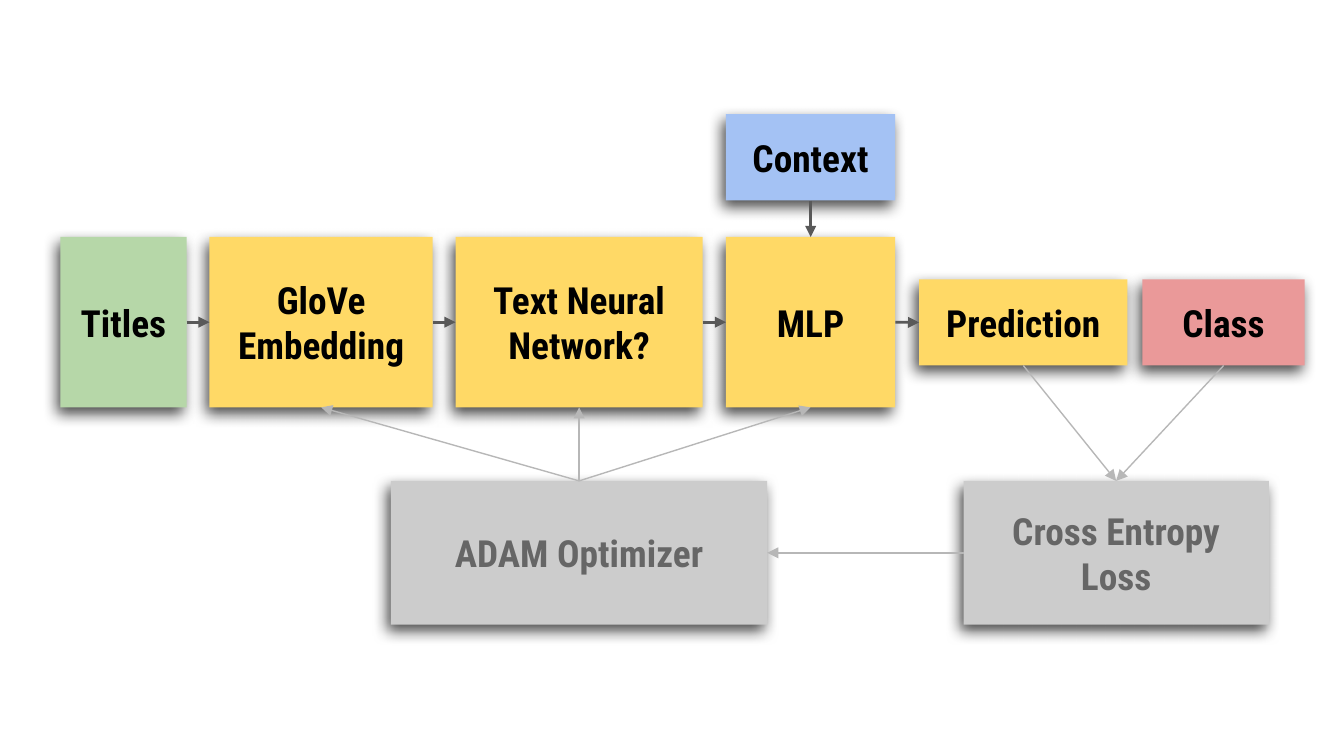
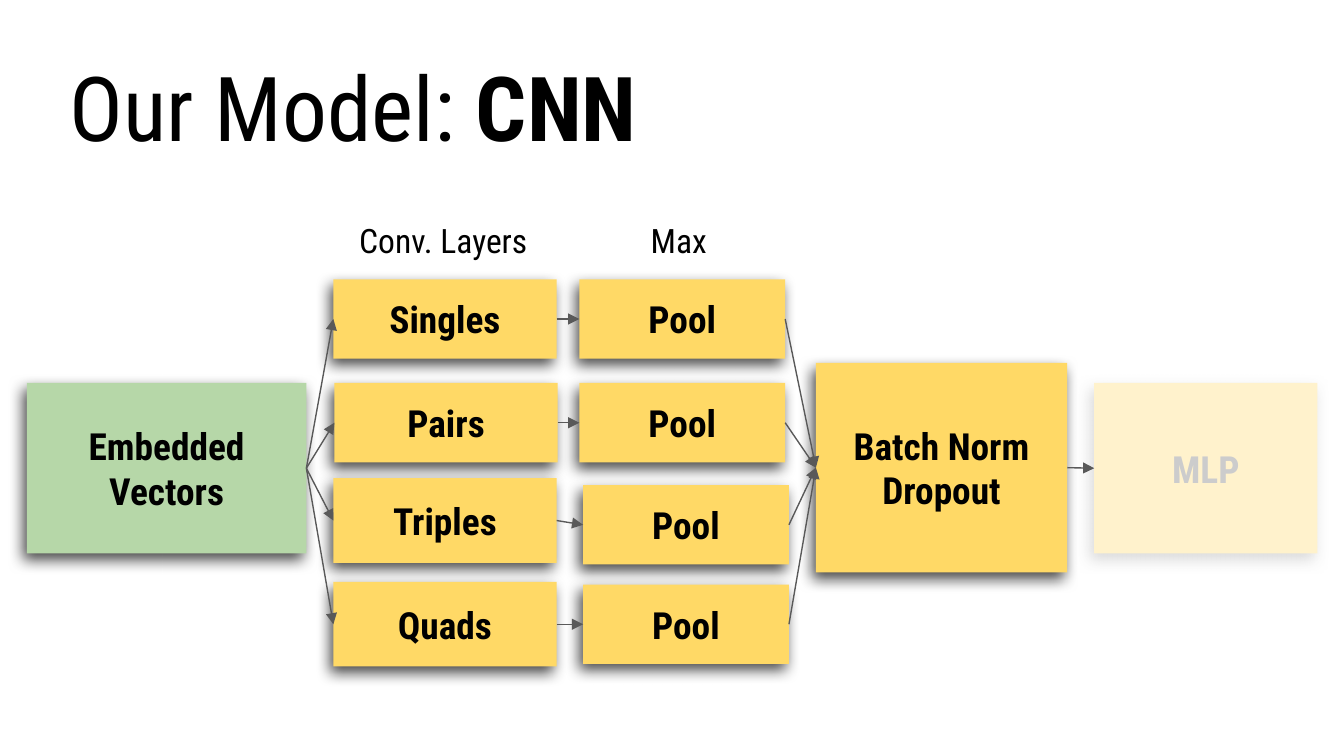
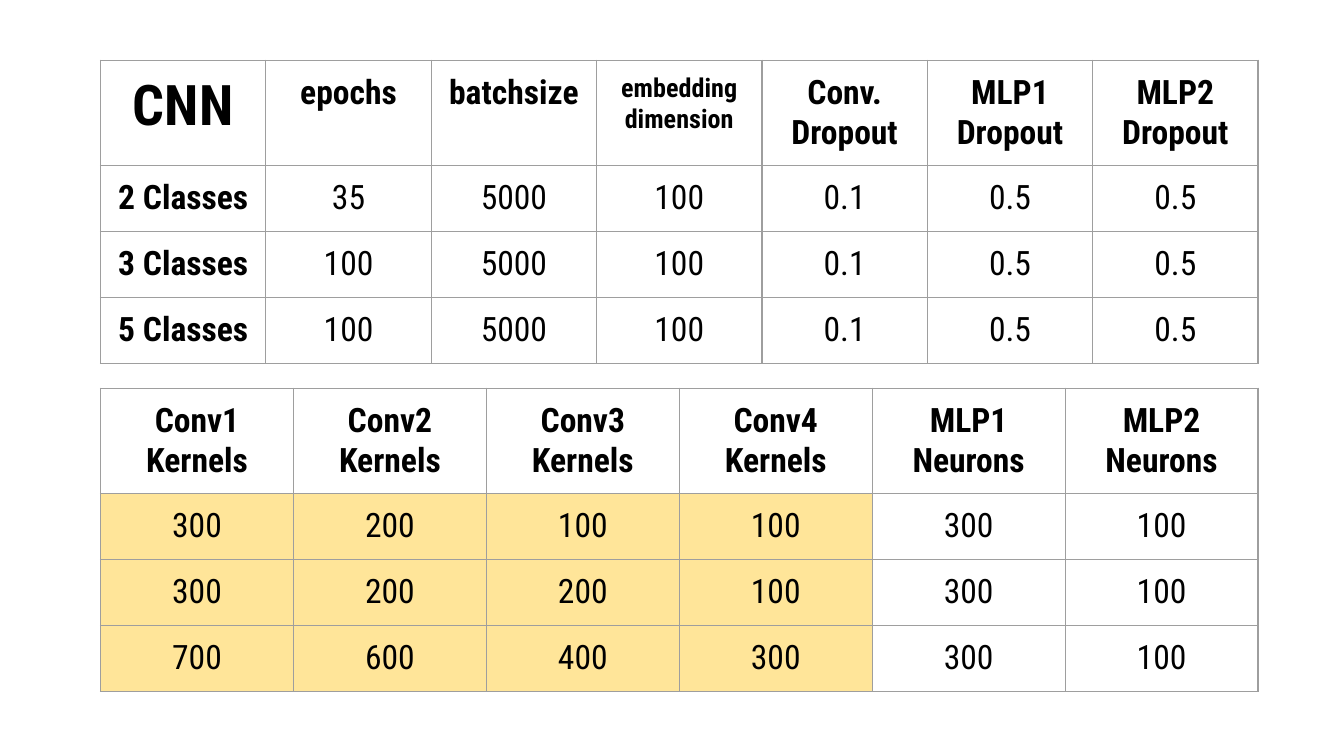
"""Build three slides on a CNN text model: pipeline, architecture and settings."""
from dataclasses import dataclass
from enum import IntEnum

from lxml import etree
from pptx import Presentation
from pptx import util as u
from pptx.dml import color
from pptx.enum import shapes, text
from pptx.oxml import ns

FONT = "Roboto Condensed"
BLACK, DARK, MID, SILVER, PALE = "000000", "595959", "666666", "B7B7B7", "CCCCCC"
YELLOW, GREEN, BLUE, RED = "FFD966", "B6D7A8", "A4C2F4", "EA9999"
CREAM, HIGHLIGHT, GRID = "FFF2CC", "FFE599", "9E9E9E"
INSET = u.Cm(0.25)
TABLE_LEFT, TABLE_WIDTH = 1.9, 21.88
ROW_HEIGHTS = (1.27, 1.24, 1.22, 1.22)


class Site(IntEnum):
    """Connection sites of a rectangle."""
    TOP = 0
    LEFT = 1
    BOTTOM = 2
    RIGHT = 3


@dataclass(frozen=True)
class Box:
    """A labelled rectangle, with lengths in centimetres."""
    label: str
    left: float
    top: float
    width: float
    height: float
    fill: str = YELLOW
    ink: str = BLACK
    shadow: str = BLACK


@dataclass(frozen=True)
class Label:
    """A plain text box whose runs are (text, bold) pairs."""
    runs: tuple
    left: float
    top: float
    width: float
    height: float
    size: int = 18
    align: text.PP_ALIGN = text.PP_ALIGN.CENTER


@dataclass(frozen=True)
class Grid:
    """A table with header labels, body rows and its special cells."""
    top: float
    header: tuple
    rows: tuple
    sizes: dict
    bold_columns: int = 0
    filled_columns: int = 0


PIPELINE = (
    Box("Text Neural Network?", 8.61, 4.48, 4.67, 3.22),
    Box("Titles", 1.14, 4.48, 2.39, 3.22, GREEN),
    Box("Context", 13.72, 2.16, 3.2, 1.63, BLUE),
    Box("Class", 21.59, 5.28, 3.07, 1.63, RED),
    Box("MLP", 13.72, 4.48, 3.2, 3.22),
    Box("Cross Entropy Loss", 18.21, 9.09, 5.77, 2.72, PALE, MID),
    Box("ADAM Optimizer", 7.39, 9.09, 7.11, 2.72, PALE, MID),
    Box("Prediction", 17.37, 5.28, 3.94, 1.63),
    Box("GloVe Embedding", 3.96, 4.48, 4.22, 3.22),
)
FORWARD = ("Titles", "GloVe Embedding", "Text Neural Network?", "MLP", "Prediction")

VECTORS = Box("Embedded\nVectors".replace("\n", " "), 0.51, 7.24, 5.28, 3.22, GREEN)
NORM = Box("Batch Norm\nDropout", 15.42, 6.86, 4.75, 3.96)
NEXT_MLP = Box("MLP", 20.68, 7.24, 4.22, 3.22, CREAM, PALE, PALE)
CONVS = (
    Box("Singles", 6.3, 5.28, 4.22, 1.5),
    Box("Pairs", 6.32, 7.24, 4.22, 1.5),
    Box("Triples", 6.3, 9.04, 4.22, 1.6),
    Box("Quads", 6.3, 11, 4.22, 1.6),
)
POOL_CORNERS = ((10.95, 5.28), (10.95, 7.24), (11.02, 9.17), (11.02, 11.05))
LABELS = (
    Label((("Our Model: ", False), ("CNN", True)), 1.07, 0.74, 14.58, 1.91,
          48, text.PP_ALIGN.LEFT),
    Label((("Conv. Layers", False),), 6.27, 3.91, 4.22, 0.94),
    Label((("Max", False),), 10.72, 3.91, 4.22, 0.94),
)

GRIDS = (
    Grid(1.14,
         ("CNN", "epochs", "batchsize", "embedding dimension", "Conv. Dropout",
          "MLP1 Dropout", "MLP2\nDropout"),
         (("2 Classes", "35", "5000", "100", "0.1", "0.5", "0.5"),
          ("3 Classes", "100", "5000", "100", "0.1", "0.5", "0.5"),
          ("5 Classes", "100", "5000", "100", "0.1", "0.5", "0.5")),
         {"CNN": 30, "embedding dimension": 14}, bold_columns=1),
    Grid(7.34,
         ("Conv1 Kernels", "Conv2 Kernels", "Conv3 Kernels", "Conv4 Kernels",
          "MLP1\nNeurons", "MLP2\nNeurons"),
         (("300", "200", "100", "100", "300", "100"),
          ("300", "200", "200", "100", "300", "100"),
          ("700", "600", "400", "300", "300", "100")),
         {}, filled_columns=4),
)


def rgb(value: str) -> color.RGBColor:
    """Turn a hex string into a colour."""
    return color.RGBColor.from_string(value)


def add_xml(parent, tag: str, **attributes):
    """Append a DrawingML element and return it."""
    return etree.SubElement(parent, ns.qn(f"a:{tag}"), attributes)


def style(p, size: int, ink: str = BLACK, bold: bool | None = None,
          align: text.PP_ALIGN = text.PP_ALIGN.CENTER) -> None:
    """Set the alignment and font of a paragraph."""
    p.alignment = align
    p.font.name, p.font.size, p.font.bold = FONT, u.Pt(size), bold
    p.font.color.rgb = rgb(ink)


def set_insets(tf) -> None:
    """Give a text frame or table cell equal insets."""
    tf.margin_left = tf.margin_right = tf.margin_top = tf.margin_bottom = INSET


def add_shadow(sp, ink: str) -> None:
    """Replace the theme shadow by a soft one below the shape."""
    sp.shadow.inherit = False
    effects = sp.element.spPr.find(ns.qn("a:effectLst"))
    shadow = add_xml(effects, "outerShdw", blurRad=str(u.Pt(7.9)), dist=str(u.Pt(3.8)),
                     dir="7200000", algn="bl", rotWithShape="0")
    add_xml(add_xml(shadow, "srgbClr", val=ink), "alpha", val="71000")


def add_box(s, box: Box):
    """Draw a shadowed rectangle with a bold centred label."""
    sp = s.shapes.add_shape(shapes.MSO_SHAPE.RECTANGLE, u.Cm(box.left), u.Cm(box.top),
                            u.Cm(box.width), u.Cm(box.height))
    sp.fill.solid()
    sp.fill.fore_color.rgb = rgb(box.fill)
    sp.line.fill.background()
    add_shadow(sp, box.shadow)
    tf = sp.text_frame
    tf.text = box.label
    tf.word_wrap = True
    tf.vertical_anchor = text.MSO_ANCHOR.MIDDLE
    set_insets(tf)
    for p in tf.paragraphs:
        style(p, 20, box.ink, True)
    return sp


def add_label(s, label: Label) -> None:
    """Draw a text box without fill."""
    sp = s.shapes.add_textbox(u.Cm(label.left), u.Cm(label.top),
                              u.Cm(label.width), u.Cm(label.height))
    tf = sp.text_frame
    tf.word_wrap = True
    set_insets(tf)
    p = tf.paragraphs[0]
    style(p, label.size, align=label.align)
    for words, bold in label.runs:
        r = p.add_run()
        r.text = words
        if bold:
            r.font.bold = True


def add_arrow(s, start, end, ink: str = DARK, width: float = 0.75,
              leave: Site = Site.RIGHT, enter: Site = Site.LEFT) -> None:
    """Join two boxes with a straight arrow."""
    line = s.shapes.add_connector(shapes.MSO_CONNECTOR.STRAIGHT, 0, 0, 0, 0)
    line.begin_connect(start, leave)
    line.end_connect(end, enter)
    line.line.color.rgb = rgb(ink)
    line.line.width = u.Pt(width)
    add_xml(line.line._get_or_add_ln(), "tailEnd", type="triangle")
    add_xml(line.element.spPr, "effectLst")


def add_borders(cell) -> None:
    """Draw thin grey lines on the four sides of a cell."""
    props = cell._tc.get_or_add_tcPr()
    for place, side in enumerate(("lnL", "lnR", "lnT", "lnB")):
        ln = etree.Element(ns.qn(f"a:{side}"), w=str(u.Pt(0.75)))
        add_xml(add_xml(ln, "solidFill"), "srgbClr", val=GRID)
        props.insert(place, ln)


def add_grid(s, grid: Grid) -> None:
    """Draw a bordered table with equal columns."""
    lines = (grid.header, *grid.rows)
    count = len(grid.header)
    table = s.shapes.add_table(len(lines), count, u.Cm(TABLE_LEFT), u.Cm(grid.top),
                               u.Cm(TABLE_WIDTH), u.Cm(sum(ROW_HEIGHTS))).table
    table.first_row = table.horz_banding = False
    for column in table.columns:
        column.width = u.Cm(TABLE_WIDTH / count)
    for i, (values, height) in enumerate(zip(lines, ROW_HEIGHTS)):
        table.rows[i].height = u.Cm(height)
        for j, value in enumerate(values):
            cell = table.cell(i, j)
            cell.text = value
            set_insets(cell)
            if i > 0 and j < grid.filled_columns:
                cell.fill.solid()
                cell.fill.fore_color.rgb = rgb(HIGHLIGHT)
            else:
                cell.fill.background()
            add_borders(cell)
            for p in cell.text_frame.paragraphs:
                style(p, grid.sizes.get(value, 18), bold=i == 0 or j < grid.bold_columns)


def build_pipeline(s) -> None:
    """Draw the training pipeline."""
    boxes = {box.label: add_box(s, box) for box in PIPELINE}
    for start, end in zip(FORWARD, FORWARD[1:]):
        add_arrow(s, boxes[start], boxes[end], width=1.5)
    add_arrow(s, boxes["Context"], boxes["MLP"], DARK, 1.5, Site.BOTTOM, Site.TOP)
    loss, optimizer = boxes["Cross Entropy Loss"], boxes["ADAM Optimizer"]
    for name in ("Prediction", "Class"):
        add_arrow(s, boxes[name], loss, SILVER, leave=Site.BOTTOM, enter=Site.TOP)
    add_arrow(s, loss, optimizer, SILVER, leave=Site.LEFT, enter=Site.RIGHT)
    for name in FORWARD[1:4]:
        add_arrow(s, optimizer, boxes[name], SILVER, leave=Site.TOP, enter=Site.BOTTOM)


def build_model(s) -> None:
    """Draw the layers of the network."""
    for label in LABELS:
        add_label(s, label)
    vectors, norm, mlp = (add_box(s, box) for box in (VECTORS, NORM, NEXT_MLP))
    for conv_box, (left, top) in zip(CONVS, POOL_CORNERS):
        conv = add_box(s, conv_box)
        pool = add_box(s, Box("Pool", left, top, 3.89, 1.5))
        for start, end in ((vectors, conv), (conv, pool), (pool, norm)):
            add_arrow(s, start, end)
    add_arrow(s, norm, mlp)


def build_settings(s) -> None:
    """Draw the two tables of settings."""
    for grid in GRIDS:
        add_grid(s, grid)


def main() -> None:
    """Build and save the presentation."""
    prs = Presentation()
    prs.slide_width, prs.slide_height = u.Cm(25.4), u.Cm(14.29)
    for build in (build_pipeline, build_model, build_settings):
        build(prs.slides.add_slide(prs.slide_layouts[6]))
    prs.save("out.pptx")


if __name__ == "__main__":
    main()
